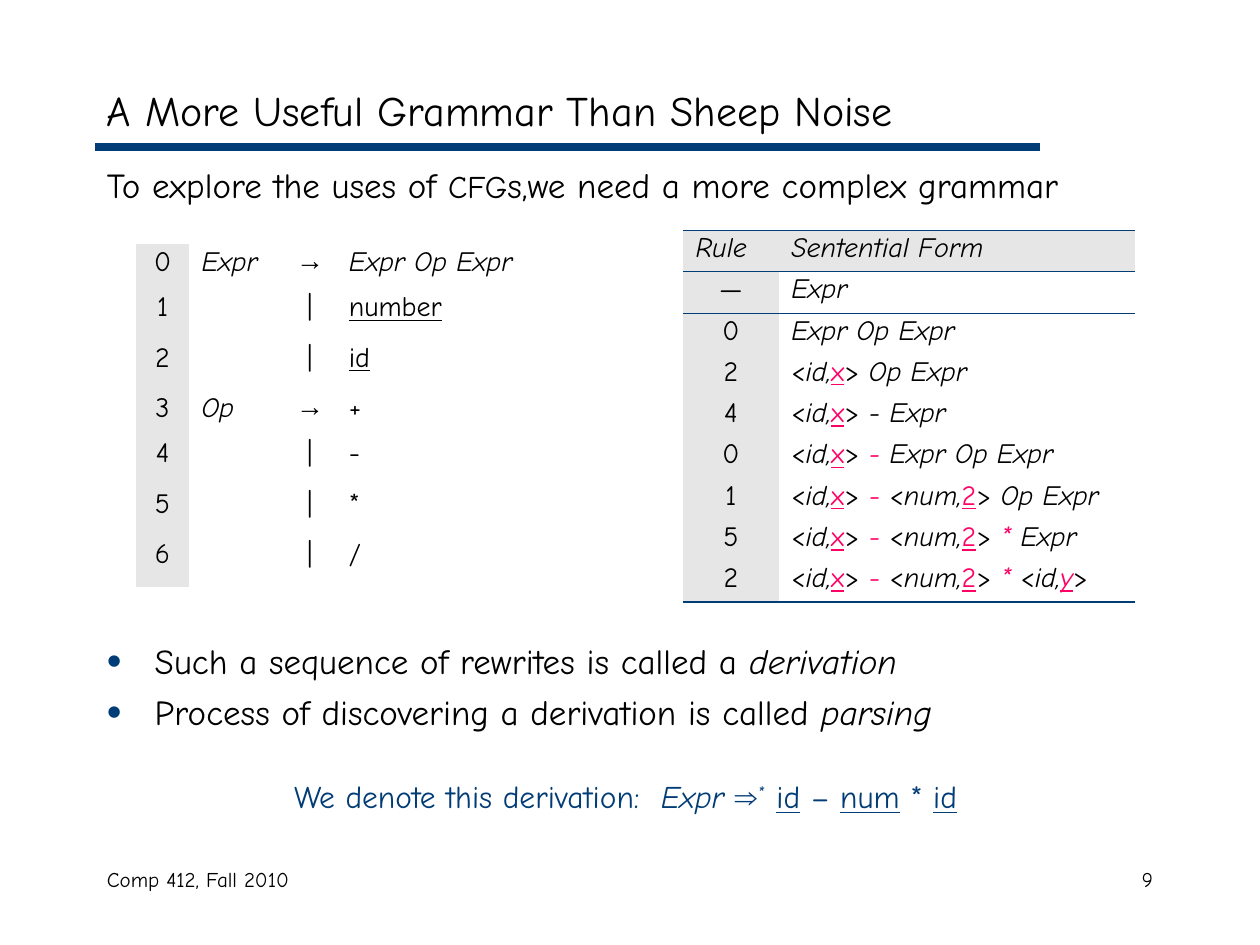
from lxml import etree
from pptx import Presentation
from pptx.dml.color import RGBColor
from pptx.enum import shapes, text
from pptx.oxml import ns
from pptx.util import Inches, Pt

COLORS = {"black": "000000", "navy": "003C75", "pink": "FF0065", "gray": "E6E6E6"}
FONT, SYMBOL_FONT = "Comic Neue", "Arial"
NO_STYLE = "{2D5ABB26-0587-4C30-8999-92F81FD0307C}"
LEFT, CENTER, RIGHT = text.PP_ALIGN.LEFT, text.PP_ALIGN.CENTER, text.PP_ALIGN.RIGHT


def token(kind, value, after="", style="up"):
    """Runs for a token such as <id,x>, optionally followed by a space."""
    return [("<", ""), (kind + ",", "i"), (value, style), (">" + after, "")]


# Content: a run is (text, flags)
# i italic, u underline, p pink, s symbol font, ^ superscript
TITLE = [("A More Useful Grammar Than Sheep Noise", "")]
LEAD = [("To explore the uses of ", ""), ("CFG", "", 18),
        ("s,we need a more complex grammar", "")]
BULLETS = [
    [("Such a sequence of rewrites is called a ", ""), ("derivation", "i")],
    [("Process of discovering a derivation is called ", ""), ("parsing", "i")],
]
SUMMARY = [("We denote this derivation:  ", ""), ("Expr ", "i"), ("⇒", "is"), ("*  ", "i^"),
           ("id", "u"), (" – ", ""), ("num", "u"), (" * ", ""), ("id", "u")]
FOOTER, PAGE = [("Comp 412, Fall 2010", "")], [("9", "")]

ARROW, BAR = [("→", "s")], [("|", "")]
PRODUCTIONS = [
    ([("Expr", "i")], ARROW, [("Expr Op Expr", "i")]),
    ([], BAR, [("number", "u")]),
    ([], BAR, [("id", "u")]),
    ([("Op", "i")], ARROW, [("+", "")]),
    ([], BAR, [("-", "")]),
    ([], BAR, [("*", "")]),
    ([], BAR, [("/", "")]),
]
GRAMMAR = [([(str(n), "")], *parts) for n, parts in enumerate(PRODUCTIONS)]

ID_X = token("id", "x", " ")
MINUS, TIMES = [("- ", "ip")], [("* ", "ip")]
X_MINUS_2 = ID_X + MINUS + token("num", "2", " ")
STEPS = [
    ("—", [("Expr", "i")]),
    ("0", [("Expr Op Expr", "i")]),
    ("2", ID_X + [("Op Expr", "i")]),
    ("4", ID_X + [("- Expr", "i")]),
    ("0", ID_X + MINUS + [("Expr Op Expr", "i")]),
    ("1", X_MINUS_2 + [("Op Expr", "i")]),
    ("5", X_MINUS_2 + TIMES + [("Expr", "i")]),
    ("2", X_MINUS_2 + TIMES + token("id", "y", style="iup")),
]
DERIVATION = [([("Rule", "i")], [("Sentential Form", "i")])]
DERIVATION += [([(rule, "")], form) for rule, form in STEPS]


def rgb(name):
    return RGBColor.from_string(COLORS[name])


def write(p, runs, size=16, color="black", align=LEFT, spacing=None, before=None):
    p.alignment = align
    if spacing:
        p.line_spacing = spacing
    if before:
        p.space_before = Pt(before)
    for content, flags, *own_size in runs:
        r = p.add_run()
        r.text = content
        r.font.name = SYMBOL_FONT if "s" in flags else FONT
        r.font.size = Pt(own_size[0] if own_size else size)
        r.font.italic = "i" in flags
        r.font.underline = "u" in flags
        r.font.color.rgb = rgb("pink" if "p" in flags else color)
        if "^" in flags:
            r.font._element.set("baseline", "30000")


def add_text(slide, box, paragraphs, anchor=text.MSO_ANCHOR.TOP, bullet=False, **fmt):
    tf = slide.shapes.add_textbox(*map(Inches, box)).text_frame
    tf.word_wrap = True
    tf.vertical_anchor = anchor
    for i, runs in enumerate(paragraphs):
        p = tf.add_paragraph() if i else tf.paragraphs[0]
        write(p, runs, **fmt)
        if bullet:
            add_bullet(p)


def add_bullet(p):
    pPr = p._p.get_or_add_pPr()
    pPr.set("marL", str(Inches(0.38)))
    pPr.set("indent", str(-Inches(0.38)))
    clr = etree.SubElement(pPr, ns.qn("a:buClr"))
    etree.SubElement(clr, ns.qn("a:srgbClr"), val=COLORS["navy"])
    etree.SubElement(pPr, ns.qn("a:buSzPct"), val="120000")
    etree.SubElement(pPr, ns.qn("a:buFont"), typeface=SYMBOL_FONT)
    etree.SubElement(pPr, ns.qn("a:buChar"), char="•")


def add_border(cell, side, width):
    ln = etree.SubElement(cell._tc.get_or_add_tcPr(), ns.qn("a:ln" + side), w=str(Pt(width)))
    fill = etree.SubElement(ln, ns.qn("a:solidFill"))
    etree.SubElement(fill, ns.qn("a:srgbClr"), val=COLORS["navy"])


def add_table(slide, left, top, widths, heights, rows, centered, header=False, before=None):
    frame = slide.shapes.add_table(len(rows), len(widths), Inches(left), Inches(top),
                                   Inches(sum(widths)), Inches(sum(heights)))
    table = frame.table
    table.first_row = table.horz_banding = False
    table._tbl.tblPr.find(ns.qn("a:tableStyleId")).text = NO_STYLE
    for column, width in zip(table.columns, widths):
        column.width = Inches(width)
    for i, (row, height) in enumerate(zip(rows, heights)):
        table.rows[i].height = Inches(height)
        is_header = header and i == 0
        for j, runs in enumerate(row):
            cell = table.cell(i, j)
            if is_header:
                add_border(cell, "T", 1.08)
                add_border(cell, "B", 0.45)
            elif header and i == 1:
                add_border(cell, "T", 0.45)
            elif header and i == len(rows) - 1:
                add_border(cell, "B", 1.08)
            if is_header or j == 0:
                cell.fill.solid()
                cell.fill.fore_color.rgb = rgb("gray")
            else:
                cell.fill.background()
            if runs:
                align = CENTER if j in centered and not is_header else LEFT
                write(cell.text_frame.paragraphs[0], runs, align=align,
                      spacing=0.8, before=before)


def main():
    prs = Presentation()
    prs.slide_width, prs.slide_height = Inches(10), Inches(7.5)
    slide = prs.slides.add_slide(prs.slide_layouts[6])

    # Title and rule below it
    rule = slide.shapes.add_connector(shapes.MSO_CONNECTOR.STRAIGHT, Inches(0.75),
                                      Inches(1.17), Inches(8.25), Inches(1.17))
    rule.line.color.rgb = rgb("navy")
    rule.line.width = Pt(4.5)
    etree.SubElement(rule._element.spPr, ns.qn("a:effectLst"))
    add_text(slide, (0.75, 0.58, 8.5, 0.58), [TITLE], size=24,
             anchor=text.MSO_ANCHOR.MIDDLE)

    # Body text
    add_text(slide, (0.75, 1.25, 8.5, 0.45), [LEAD], size=20)
    add_text(slide, (0.75, 5.03, 8.5, 0.9), BULLETS, size=20, before=5, bullet=True)
    add_text(slide, (1.88, 6.12, 6.17, 0.4), [SUMMARY], size=18, color="navy", align=CENTER)

    # Derivation and grammar tables
    add_table(slide, 5.42, 1.83, [0.76, 2.83], [2.95 / len(DERIVATION)] * len(DERIVATION),
              DERIVATION, centered={0}, header=True)
    heights = [0.36 if row[1] else 0.4 for row in GRAMMAR]
    add_table(slide, 1.08, 1.94, [0.42, 0.75, 0.42, 1.75], heights, GRAMMAR,
              centered={0, 2}, before=4)

    # Footer
    add_text(slide, (0.75, 6.83, 3.17, 0.5), [FOOTER], size=12)
    add_text(slide, (7.17, 6.83, 2.08, 0.5), [PAGE], size=12, align=RIGHT)

    prs.save("out.pptx")


if __name__ == "__main__":
    main()
